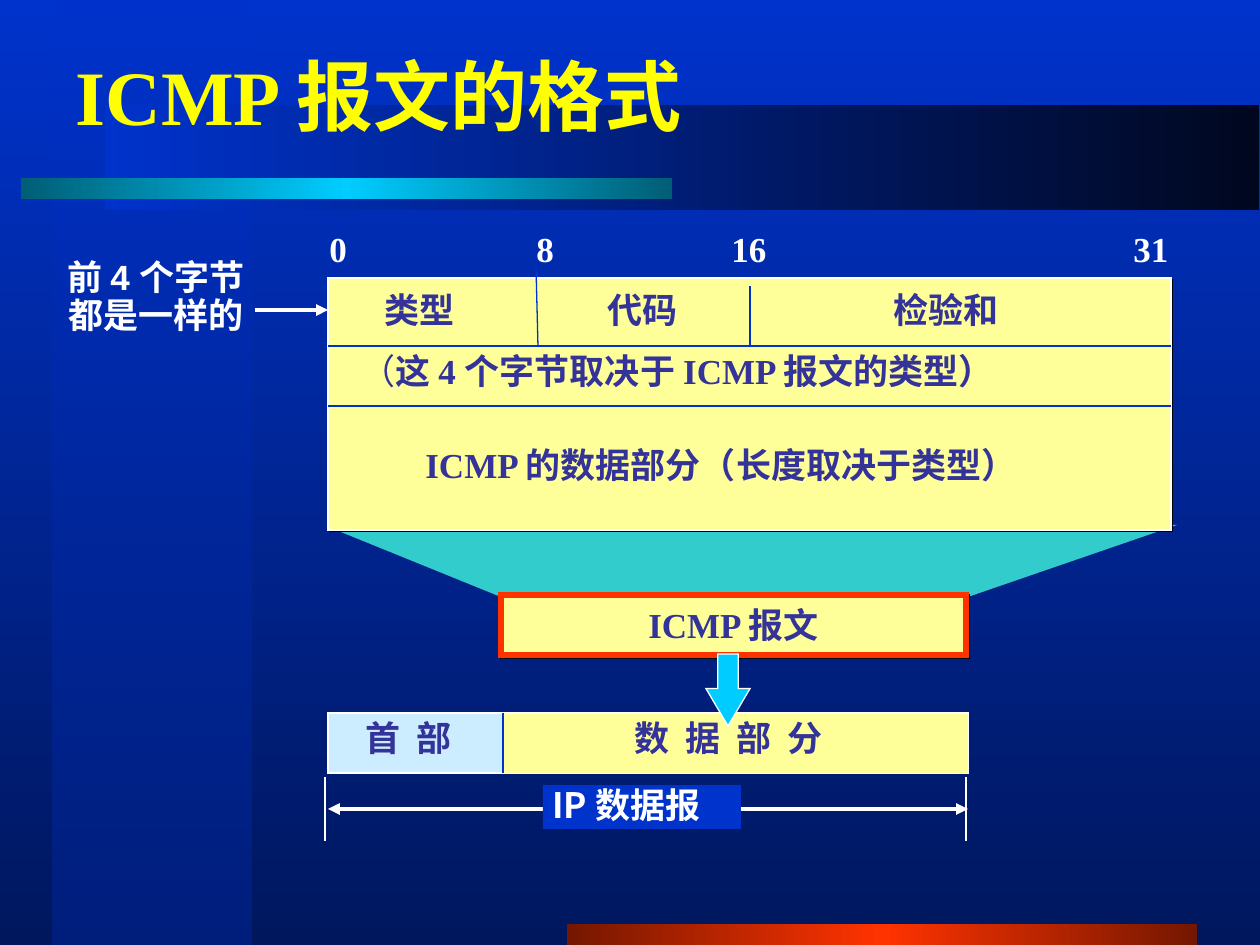
from lxml import etree
from pptx import Presentation
from pptx import util as u
from pptx.dml.color import RGBColor
from pptx.enum import shapes, text
from pptx.oxml.ns import qn

PX = 914400 / 126  # EMU in one px

WHITE = RGBColor(0xFF, 0xFF, 0xFF)
YELLOW = RGBColor(0xFF, 0xFF, 0x01)
CREAM = RGBColor(0xFF, 0xFF, 0x99)
PALE_BLUE = RGBColor(0xCC, 0xEC, 0xFF)
INDIGO = RGBColor(0x33, 0x33, 0x99)
BLUE = RGBColor(0x00, 0x33, 0xCC)
DEEP_BLUE = RGBColor(0x00, 0x1F, 0x7D)
NIGHT = RGBColor(0x00, 0x17, 0x5E)
NEAR_BLACK = RGBColor(0x00, 0x07, 0x1F)
CYAN = RGBColor(0x00, 0xCC, 0xFF)
DARK_CYAN = RGBColor(0x00, 0x5E, 0x75)
TEAL = RGBColor(0x33, 0xCC, 0xCC)
RED = RGBColor(0xFF, 0x33, 0x00)
DARK_RED = RGBColor(0x75, 0x17, 0x00)

SERIF, SANS, CJK = "Times New Roman", "Arial", "Noto Sans CJK SC"
RECT = shapes.MSO_SHAPE.RECTANGLE


def px(*lengths):
    return [u.Emu(round(length * PX)) for length in lengths]


class Painter:
    """Holds the text style and the slide being drawn."""

    size = 20

    def __init__(self, slide):
        self.slide = slide

    def gradient(self, fill, element, colours, angle, first_alpha=None):
        fill.gradient()
        fill.gradient_angle = angle
        stops = element.find(".//" + qn("a:gsLst"))
        for stop in list(stops):
            stops.remove(stop)
        for index, colour in enumerate(colours):
            position = 100000 * index // (len(colours) - 1)
            stop = etree.SubElement(stops, qn("a:gs"), pos=str(position))
            shade = etree.SubElement(stop, qn("a:srgbClr"), val=str(colour))
            if first_alpha and index == 0:
                etree.SubElement(shade, qn("a:alpha"), val=str(first_alpha * 1000))

    def finish(self, shape, fill=None, line=None, weight=0.75, shadow=False):
        shape.shadow.inherit = False
        if fill is not None:
            shape.fill.solid()
            shape.fill.fore_color.rgb = fill
        if line is None:
            shape.line.fill.background()
        else:
            shape.line.color.rgb = line
            shape.line.width = u.Pt(weight)
            outline = shape._element.spPr.find(qn("a:ln"))
            etree.SubElement(outline, qn("a:miter"), lim="800000")
        if shadow:
            effects = shape._element.spPr.find(qn("a:effectLst"))
            outer = etree.SubElement(effects, qn("a:outerShdw"), blurRad="0",
                                     dist=str(u.Pt(1.4)), dir="2700000")
            etree.SubElement(outer, qn("a:srgbClr"), val="000000")
        return shape

    def shape(self, left, top, width, height, fill=None, kind=RECT, **style):
        shape = self.slide.shapes.add_shape(kind, *px(left, top, width, height))
        return self.finish(shape, fill, **style)

    def band(self, left, top, width, height, colours, angle, first_alpha=None):
        band = self.shape(left, top, width, height)
        self.gradient(band.fill, band._element, colours, angle, first_alpha)

    def polygon(self, points, fill):
        builder = self.slide.shapes.build_freeform(*points[0], scale=PX)
        builder.add_line_segments(points[1:], close=True)
        self.finish(builder.convert_to_shape(), fill)

    def line(self, x1, y1, x2, y2, colour=BLUE, weight=0.75, arrows=()):
        line = self.slide.shapes.add_connector(
            shapes.MSO_CONNECTOR.STRAIGHT, *px(x1, y1, x2, y2))
        line.line.color.rgb = colour
        line.line.width = u.Pt(weight)
        properties = line._element.spPr
        for end in arrows:
            etree.SubElement(properties.find(qn("a:ln")), qn(end), type="triangle")
        etree.SubElement(properties, qn("a:effectLst"))

    def style(self, para, font, colour, size=None, tracking=None):
        para.font.size = u.Pt(size or self.size)
        para.font.bold = True
        para.font.color.rgb = colour
        para.font.name = font
        defaults = para._p.pPr.find(qn("a:defRPr"))
        etree.SubElement(defaults, qn("a:ea"), typeface=CJK)
        if tracking:
            for span in para.runs:
                span._r.get_or_add_rPr().set("spc", str(tracking))

    def label(self, left, top, width, words, font=SERIF, colour=INDIGO,
              height=55, tracking=None, align=None, leading=None):
        box = self.slide.shapes.add_textbox(*px(left, top, width, height))
        frame = box.text_frame
        frame.word_wrap = False
        frame.text = words
        for para in frame.paragraphs:
            if align is not None:
                para.alignment = align
            if leading:
                para.line_spacing = leading
            self.style(para, font, colour, tracking=tracking)
        return frame.paragraphs[0]

    def title(self, left, top, width, height, words):
        box = self.slide.shapes.title
        box.left, box.top, box.width, box.height = px(left, top, width, height)
        frame = box.text_frame
        frame.text = words
        frame.vertical_anchor = text.MSO_ANCHOR.MIDDLE
        para = frame.paragraphs[0]
        para.alignment = text.PP_ALIGN.LEFT
        self.style(para, SERIF, YELLOW, 44)


def main():
    deck = Presentation()
    deck.slide_width, deck.slide_height = px(1260, 945)
    slide = deck.slides.add_slide(deck.slide_layouts[5])
    paint = Painter(slide)

    # Background and decorative bands
    paint.gradient(slide.background.fill, slide._element, [BLUE, NIGHT], 270)
    paint.band(53, 0, 199, 945, [BLUE, DEEP_BLUE], 270, first_alpha=50)
    paint.band(567, 924, 630, 21, [DARK_RED, RED, DARK_RED], 180)
    paint.band(105, 105, 1154, 105, [NEAR_BLACK, BLUE], 180)
    paint.band(21, 178, 651, 21, [DARK_CYAN, CYAN, DARK_CYAN], 180)

    # Title, brought in front of the bands
    paint.title(63, 32, 1071, 126, "ICMP 报文的格式")
    slide.shapes._spTree.append(slide.shapes.title._element)

    # IP datagram: header and data
    paint.shape(328, 713, 640, 60, PALE_BLUE, line=WHITE)
    paint.shape(503, 714, 465, 59, CREAM)
    paint.line(503, 713, 503, 773)
    paint.label(353, 710, 124, "首 部", CJK, tracking=230)
    paint.label(622, 710, 232, "数 据 部 分", CJK, tracking=230)

    # ICMP message and the funnel from its format
    paint.polygon([(331, 528), (501, 597), (968, 597), (1177, 525)], TEAL)
    message = paint.shape(501, 595, 465, 60, CREAM, line=RED, weight=3, shadow=True)
    message.text_frame.text = "ICMP 报文"
    message.text_frame.word_wrap = False
    message.text_frame.vertical_anchor = text.MSO_ANCHOR.MIDDLE
    caption = message.text_frame.paragraphs[0]
    caption.alignment = text.PP_ALIGN.CENTER
    paint.style(caption, SERIF, INDIGO)
    arrow = paint.shape(706, 654, 44, 72, CYAN, shapes.MSO_SHAPE.DOWN_ARROW, line=WHITE)
    arrow.adjustments[0], arrow.adjustments[1] = 0.47, 0.85

    # Message format: frame, rows and columns
    paint.shape(328, 278, 843, 252, CREAM, line=WHITE, shadow=True)
    for y in (346, 406):
        paint.line(328, y, 1171, y)
    paint.line(538, 346, 536, 267)
    paint.line(750, 346, 750, 286)

    # Bit positions and fields
    for left, width, bit in [(317, 46, "0"), (524, 46, "8"),
                             (719, 64, "16"), (1121, 64, "31")]:
        paint.label(left, 221, width, bit, colour=WHITE)
    for left, width, field in [(372, 104, "类型"), (595, 104, "代码"), (881, 140, "检验和")]:
        paint.label(left, 282, width, field, SANS)
    para = paint.label(348, 343, 710, "（")
    para.runs[0].font.name = SANS
    para.runs[0].font.bold = False
    para.add_run().text = "这 4 个字节取决于 ICMP 报文的类型）"
    paint.label(413, 437, 640, "ICMP 的数据部分（长度取决于类型）")

    # Note on the first four bytes
    paint.label(41, 254, 230, "前 4 个字节\n都是一样的", SANS, WHITE, height=88,
                align=text.PP_ALIGN.CENTER, leading=0.9)
    paint.line(255, 310, 328, 310, WHITE, 2.25, ["a:tailEnd"])

    # Extent of the IP datagram
    paint.line(328, 809, 968, 809, WHITE, 2.25, ["a:headEnd", "a:tailEnd"])
    paint.shape(543, 785, 198, 44, BLUE)
    paint.label(540, 777, 196, "IP 数据报", CJK, WHITE)
    for x in (325, 966):
        paint.line(x, 777, x, 841, WHITE, 1)

    deck.save("out.pptx")


if __name__ == "__main__":
    main()
